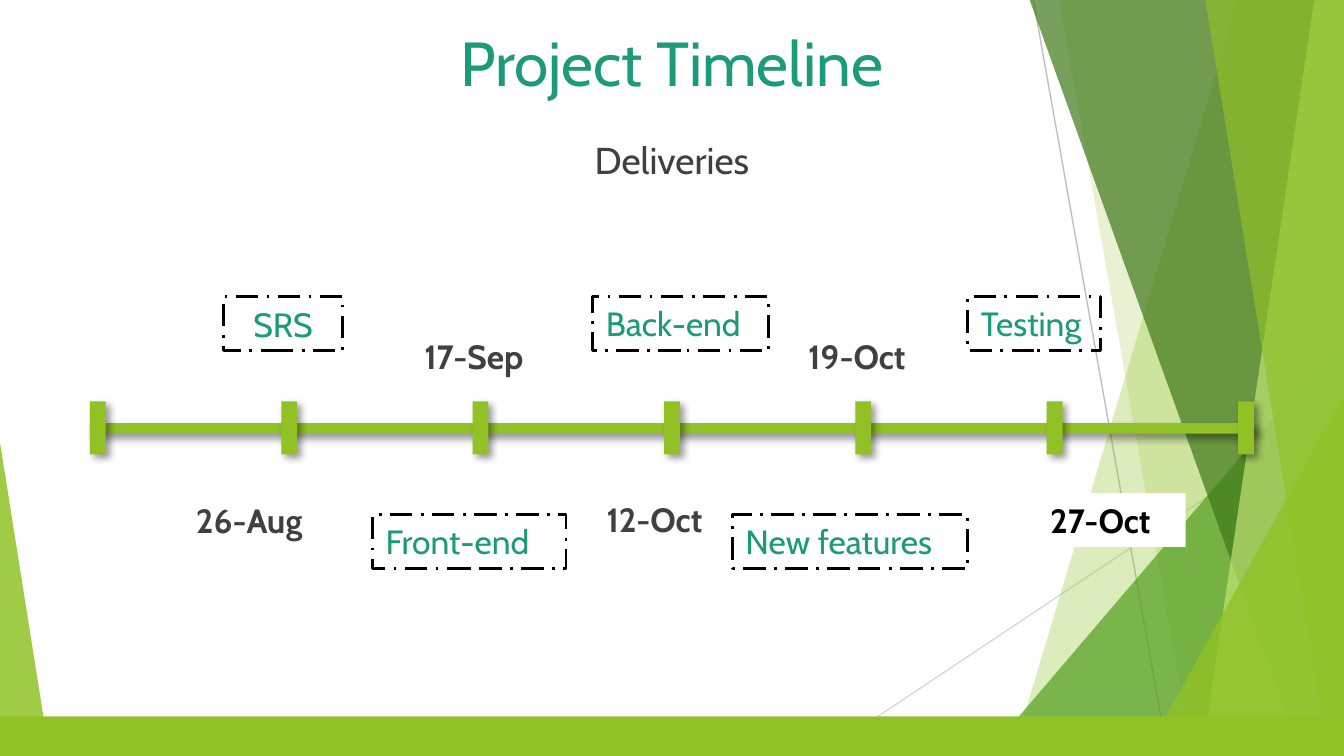
from dataclasses import dataclass
from typing import Optional

import pptx
import pptx.dml.color
import pptx.enum.dml
import pptx.enum.shapes
import pptx.enum.text
import pptx.oxml
import pptx.oxml.ns
import pptx.oxml.xmlchemy
import pptx.util

SLIDE_W, SLIDE_H = 25.4, 14.29
FONT = "Cabin"
COLORS = {
    "lime": "90C226", "green": "54A021", "forest": "3F7819", "pale": "C0E474",
    "teal": "1D9A78", "gray": "404040", "black": "000000", "white": "FFFFFF",
    "ray": "BFBFBF", "light ray": "D9D9D9",
}
SHAPES = pptx.enum.shapes.MSO_SHAPE
ALIGN = pptx.enum.text.PP_ALIGN
ANCHOR = pptx.enum.text.MSO_ANCHOR


@dataclass
class Ray:
    start: tuple[float, float]
    end: tuple[float, float]
    color: str


@dataclass
class Facet:
    """A full-height panel reaching the right edge of the slide."""
    top_x: float
    bottom_x: float
    color: str
    opacity: int


@dataclass
class Corner:
    """A right-angled triangle standing on the bottom edge."""
    left: float
    top: float
    width: float
    apex: float
    color: str
    opacity: int


@dataclass
class Milestone:
    text: str
    left: float
    top: float
    width: float
    color: str = "gray"
    fill: Optional[str] = None


@dataclass
class Delivery:
    text: str
    left: float
    top: float
    width: float
    fill: Optional[str] = None
    align: ALIGN = ALIGN.LEFT
    anchor: ANCHOR = ANCHOR.TOP


RAYS = [
    Ray((19.53, 0), (22.07, SLIDE_H), "ray"),
    Ray((SLIDE_W, 7.67), (15.47, SLIDE_H), "light ray"),
]
BACKDROP = [
    Facet(23.39, 19.13, "lime", 30),
    Facet(20.02, 22.53, "lime", 20),
    Corner(18.62, 6.35, 6.78, 1, "green", 72),
    Facet(19.46, 24.59, "forest", 70),
    Facet(24.84, 22.71, "pale", 70),
    Facet(22.78, 25.1, "lime", 65),
    Corner(21.62, 7.47, 3.78, 1, "lime", 80),
    Corner(0, 8.36, 0.94, 0, "lime", 85),
]

AXIS_LEFT, AXIS_TOP, AXIS_W, AXIS_H = 1.7, 8, 22, 0.2
TICK_COUNT, TICK_TOP, TICK_W, TICK_H = 7, 7.59, 0.3, 1
LABEL_H = 1.02
DATE_ABOVE, DATE_BELOW = 6.22, 9.32
DELIVERY_ABOVE, DELIVERY_BELOW = 5.61, 9.73

MILESTONES = [
    Milestone("26-Aug", 2.49, DATE_BELOW, 4.44),
    Milestone("17-Sep", 7.67, DATE_ABOVE, 2.57),
    Milestone("12-Oct", 10.87, 9.3, 3),
    Milestone("19-Oct", 14.94, DATE_ABOVE, 2.51),
    Milestone("27-Oct", 19.18, DATE_BELOW, 3.23, "black", "white"),
]
DELIVERIES = [
    Delivery("SRS", 4.22, DELIVERY_ABOVE, 2.26, "white", ALIGN.CENTER, ANCHOR.MIDDLE),
    Delivery("Front-end", 7.04, DELIVERY_BELOW, 3.66),
    Delivery("Back-end", 11.2, DELIVERY_ABOVE, 3.33),
    Delivery("New features", 13.84, DELIVERY_BELOW, 4.44),
    Delivery("Testing", 18.29, DELIVERY_ABOVE, 2.51),
]


def cm_all(*values: float) -> list[pptx.util.Cm]:
    return [pptx.util.Cm(value) for value in values]


def rgb(color: str) -> pptx.dml.color.RGBColor:
    return pptx.dml.color.RGBColor.from_string(COLORS[color])


def paint(shape, color: str, opacity: int = 100) -> None:
    shape.shadow.inherit = False
    shape.line.fill.background()
    shape.fill.solid()
    shape.fill.fore_color.rgb = rgb(color)
    if opacity < 100:
        srgb = shape._element.spPr.find("./" + pptx.oxml.ns.qn("a:solidFill"))[0]
        alpha = pptx.oxml.xmlchemy.OxmlElement("a:alpha")
        alpha.set("val", str(opacity * 1000))
        srgb.append(alpha)


def draw_ray(slide, ray: Ray) -> None:
    line = slide.shapes.add_connector(
        pptx.enum.shapes.MSO_CONNECTOR.STRAIGHT, *cm_all(*ray.start, *ray.end))
    line.line.color.rgb = rgb(ray.color)
    line.line.width = pptx.util.Pt(0.75)
    line._element.spPr.append(pptx.oxml.xmlchemy.OxmlElement("a:effectLst"))


def draw_facet(slide, facet: Facet) -> None:
    outline = slide.shapes.build_freeform(*cm_all(facet.top_x, 0))
    outline.add_line_segments([
        cm_all(SLIDE_W, 0), cm_all(SLIDE_W, SLIDE_H), cm_all(facet.bottom_x, SLIDE_H)])
    paint(outline.convert_to_shape(), facet.color, facet.opacity)


def draw_corner(slide, corner: Corner) -> None:
    triangle = slide.shapes.add_shape(
        SHAPES.ISOSCELES_TRIANGLE,
        *cm_all(corner.left, corner.top, corner.width, SLIDE_H - corner.top))
    triangle.adjustments[0] = corner.apex
    paint(triangle, corner.color, corner.opacity)


def draw_bar(slide, left: float, top: float, width: float, height: float,
             shadow: bool = False) -> None:
    bar = slide.shapes.add_shape(SHAPES.RECTANGLE, *cm_all(left, top, width, height))
    paint(bar, "lime")
    if shadow:
        effects = bar._element.spPr.find(pptx.oxml.ns.qn("a:effectLst"))
        effects.append(pptx.oxml.parse_xml(
            f'<a:outerShdw {pptx.oxml.ns.nsdecls("a")} blurRad="50800" dist="38100" '
            'dir="2700000" algn="tl" rotWithShape="0"><a:srgbClr val="000000">'
            '<a:alpha val="40000"/></a:srgbClr></a:outerShdw>'))


def add_text(slide, text: str, left: float, top: float, width: float, height: float = LABEL_H, *,
             size: float = 18, color: str = "gray", bold: bool = False, align=ALIGN.CENTER,
             anchor=ANCHOR.MIDDLE, space_before: float = 0, fill: Optional[str] = None):
    box = slide.shapes.add_textbox(*cm_all(left, top, width, height))
    if fill:
        paint(box, fill)
    frame = box.text_frame
    frame.word_wrap = True
    frame.vertical_anchor = anchor
    paragraph = frame.paragraphs[0]
    paragraph.alignment = align
    paragraph.space_before = pptx.util.Pt(space_before)
    run = paragraph.add_run()
    run.text = text
    run.font.name, run.font.size, run.font.bold = FONT, pptx.util.Pt(size), bold
    run.font.color.rgb = rgb(color)
    return box


def draw_delivery(slide, delivery: Delivery) -> None:
    box = add_text(slide, delivery.text, delivery.left, delivery.top, delivery.width,
                   color="teal", align=delivery.align, anchor=delivery.anchor, fill=delivery.fill)
    box.line.color.rgb = rgb("black")
    box.line.width = pptx.util.Pt(1.5)
    box.line.dash_style = pptx.enum.dml.MSO_LINE.LONG_DASH_DOT


def main() -> None:
    deck = pptx.Presentation()
    deck.slide_width, deck.slide_height = cm_all(SLIDE_W, SLIDE_H)
    slide = deck.slides.add_slide(deck.slide_layouts[6])
    for ray in RAYS:
        draw_ray(slide, ray)
    for piece in BACKDROP:
        draw = draw_facet if isinstance(piece, Facet) else draw_corner
        draw(slide, piece)
    draw_bar(slide, 0, 13.54, SLIDE_W, SLIDE_H - 13.54)
    add_text(slide, "Project Timeline", 0, 0.36, SLIDE_W, 1.6,
             size=33.3, color="teal", space_before=7.5)
    add_text(slide, "Deliveries", 0, 1.96, SLIDE_W, 2.13, size=20, space_before=7.5)
    draw_bar(slide, AXIS_LEFT, AXIS_TOP, AXIS_W, AXIS_H, shadow=True)
    tick_step = (AXIS_W - TICK_W) / (TICK_COUNT - 1)
    for index in range(TICK_COUNT):
        draw_bar(slide, AXIS_LEFT + index * tick_step, TICK_TOP, TICK_W, TICK_H, shadow=True)
    for date in MILESTONES:
        add_text(slide, date.text, date.left, date.top, date.width,
                 color=date.color, bold=True, fill=date.fill)
    for delivery in DELIVERIES:
        draw_delivery(slide, delivery)
    deck.save("out.pptx")


if __name__ == "__main__":
    main()
